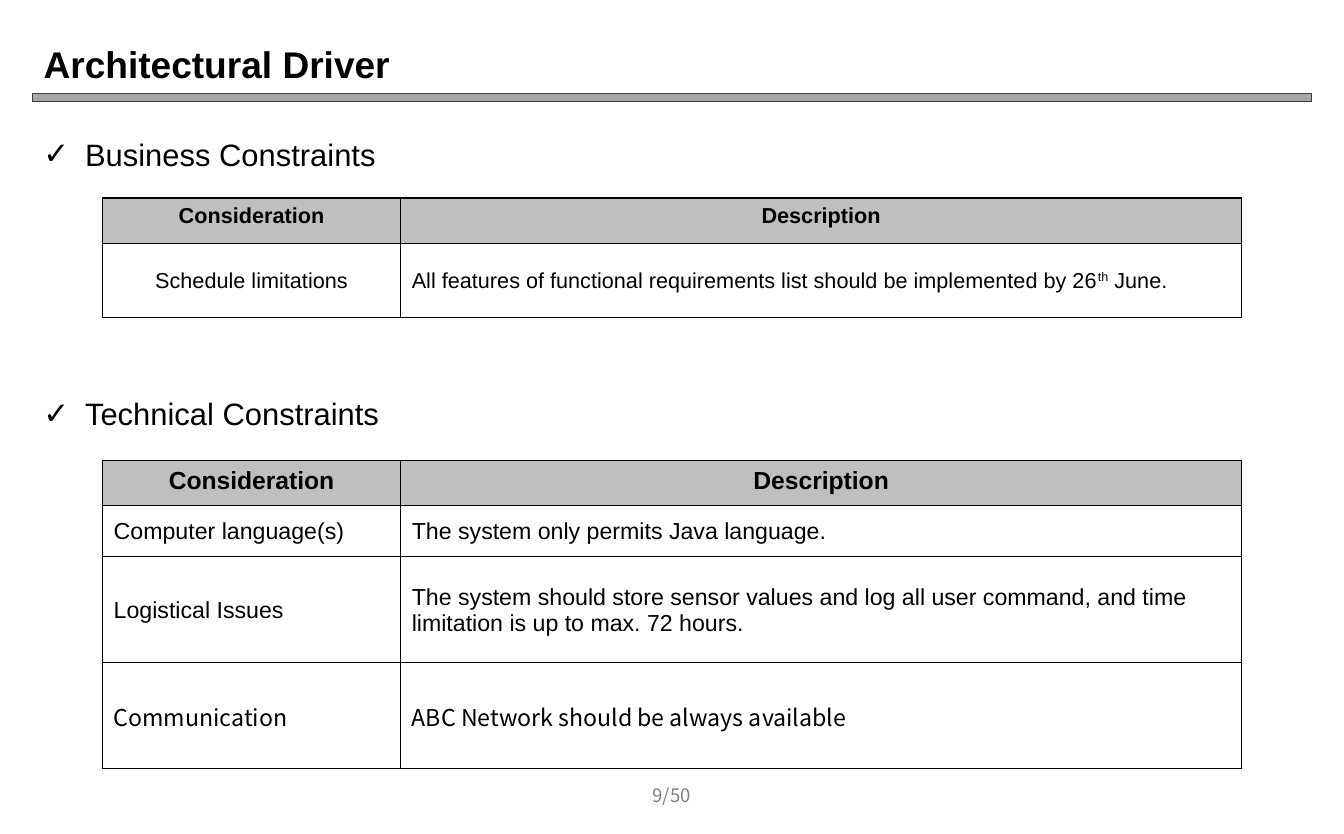
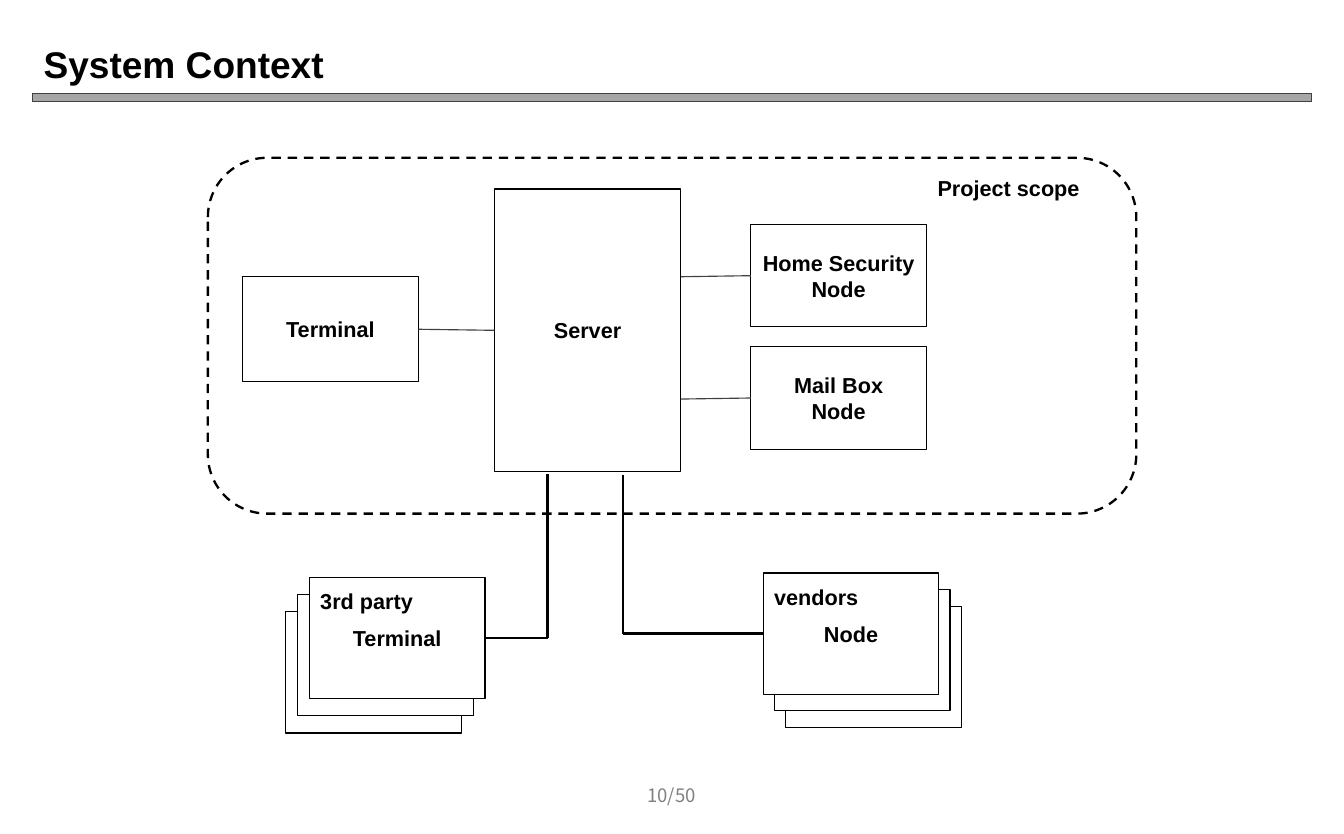
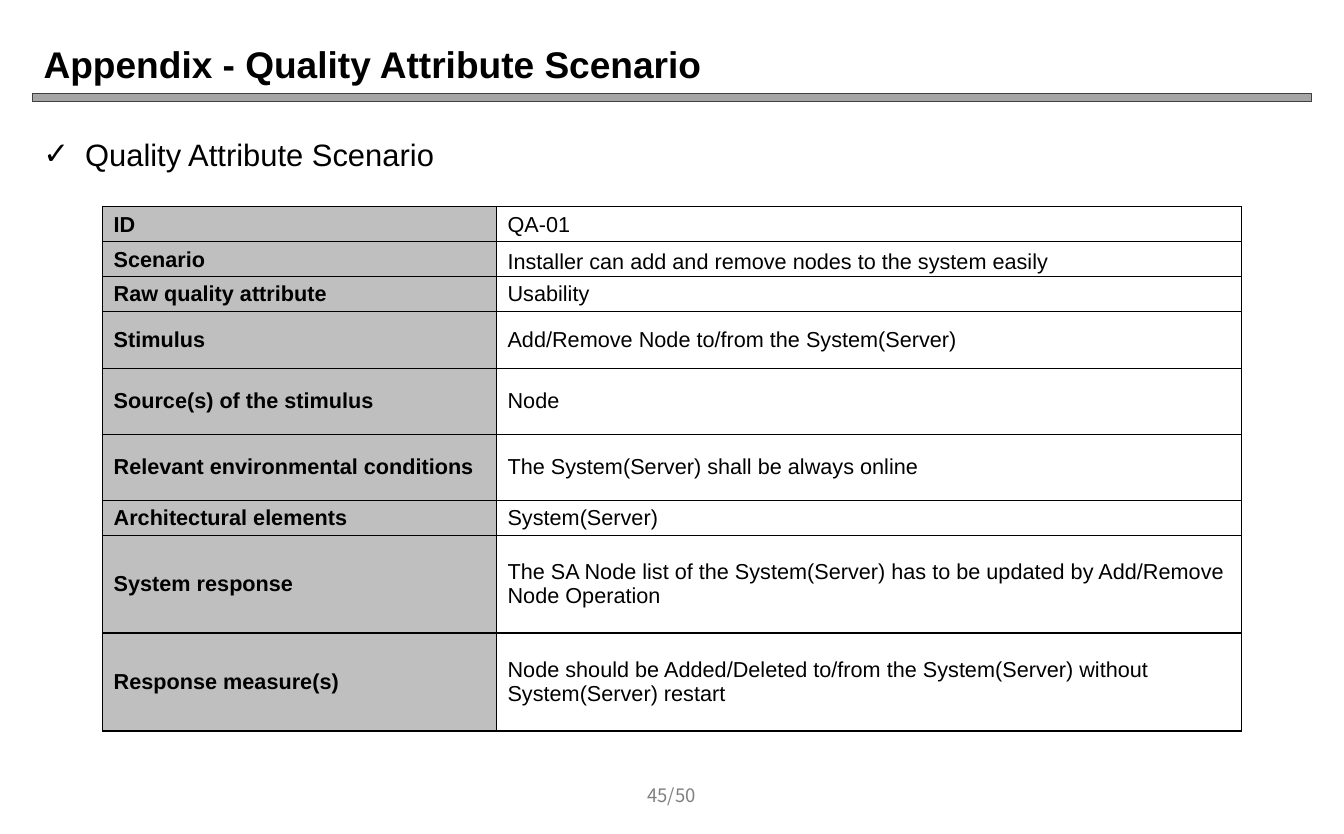
from itertools import product

from lxml.etree import SubElement
from pptx import Presentation
from pptx.dml.color import RGBColor
from pptx.enum.dml import MSO_LINE_DASH_STYLE as Dash
from pptx.enum.shapes import MSO_CONNECTOR as Connector, MSO_SHAPE as Preset
from pptx.enum.text import MSO_ANCHOR as Anchor, MSO_AUTO_SIZE as AutoSize, PP_ALIGN as Align
from pptx.oxml.ns import qn
from pptx.util import Pt

BLACK = RGBColor(0x00, 0x00, 0x00)
WHITE = RGBColor(0xFF, 0xFF, 0xFF)
DARK = RGBColor(0x40, 0x40, 0x40)
GRAY = RGBColor(0x80, 0x80, 0x80)
BAR = RGBColor(0xA6, 0xA6, 0xA6)
HEADER = RGBColor(0xBF, 0xBF, 0xBF)
LATIN, NOTO = "Arial", "Noto Sans CJK KR"

WIDTH, HEIGHT = 870, 540
LEFT, CONTENT_WIDTH = 21, 828
TABLE_LEFT = 66.4
HEADING_TOP, HEADING_STEP = 84, 168.2
PAGE_COUNT = 50

BUSINESS = [
    ("Consideration", "Description"),
    ("Schedule limitations",
     "All features of functional requirements list should be implemented by 26^th^ June."),
]
TECHNICAL = [
    ("Consideration", "Description"),
    ("Computer language(s)", "The system only permits Java language."),
    ("Logistical Issues",
     "The system should store sensor values and log all user command, "
     "and time limitation is up to max. 72 hours."),
    ("Communication", "ABC Network should be always available"),
]
SCENARIO = [
    ("ID", "QA-01"),
    ("Scenario", "Installer can add and remove nodes to the system easily"),
    ("Raw quality attribute", "Usability"),
    ("Stimulus", "Add/Remove Node to/from the System(Server)"),
    ("Source(s) of the stimulus", "Node"),
    ("Relevant environmental conditions", "The System(Server) shall be always online"),
    ("Architectural elements", "System(Server)"),
    ("System response",
     "The SA Node list of the System(Server) has to be updated by Add/Remove Node Operation"),
    ("Response measure(s)",
     "Node should be Added/Deleted to/from the System(Server) without System(Server) restart"),
]
CONSTRAINT_COLUMNS = (193, 544.4)
SCENARIO_COLUMNS = (255, 482.4)
SCENARIO_ROWS = (22.6, 22.6, 22.6, 36.9, 42.7, 42.7, 22.6, 63.4, 63.4)

NODES = ["Home Security\nNode", "Mail Box\nNode"]
NODE_LEFT, NODE_TOP, NODE_STEP = 486, 145.3, 79.2
BOX_WIDTH, NODE_HEIGHT, STACK_HEIGHT = 113.8, 66.4, 78.5
SERVER = (320, 122.4, 120.8, 183)
TERMINAL = (157, 179.3, BOX_WIDTH, 67.8)
STACKS = [
    dict(label="3rd party", text="Terminal", left=200.2, top=373.7,
         step=(-7.6, 11.2), side=3, corner=354.5, end=307),
    dict(label="vendors", text="Node", left=494, top=371,
         step=(7.2, 10.8), side=1, corner=403.3, end=307.6),
]


def write(frame, text, size=14, font=LATIN, color=BLACK, bold=False, align=Align.LEFT,
          anchor=Anchor.MIDDLE, spacing=None, bullet=None):
    frame.word_wrap = True
    frame.vertical_anchor = anchor
    for index, line in enumerate(text.split("\n")):
        para = frame.paragraphs[0] if index == 0 else frame.add_paragraph()
        para.alignment = align
        if spacing:
            para.line_spacing = spacing
        if bullet:
            properties = para._p.get_or_add_pPr()
            properties.set("marL", str(Pt(27)))
            properties.set("indent", str(-Pt(27)))
            SubElement(properties, qn("a:buFont"), typeface=font)
            SubElement(properties, qn("a:buChar"), char=bullet)
        for part, piece in enumerate(line.split("^")):
            span = para.add_run()
            span.text = piece
            span.font.size, span.font.name, span.font.bold = Pt(size), font, bold
            span.font.color.rgb = color
            if part % 2:
                span._r.get_or_add_rPr().set("baseline", "30000")


def set_insets(target, left, top, right, bottom):
    target.margin_left, target.margin_top = Pt(left), Pt(top)
    target.margin_right, target.margin_bottom = Pt(right), Pt(bottom)


def add_text(page, text, left, top, width, height, insets=(7.2, 3.6, 7.2, 3.6), **style):
    box = page.shapes.add_textbox(Pt(left), Pt(top), Pt(width), Pt(height))
    set_insets(box.text_frame, *insets)
    write(box.text_frame, text, **style)


def add_box(page, left, top, width, height, text="", preset=Preset.RECTANGLE,
            fill=WHITE, line=BLACK, weight=0.75):
    box = page.shapes.add_shape(preset, Pt(left), Pt(top), Pt(width), Pt(height))
    box.shadow.inherit = False
    if fill is None:
        box.fill.background()
    else:
        box.fill.solid()
        box.fill.fore_color.rgb = fill
    box.line.color.rgb = line
    box.line.width = Pt(weight)
    if text:
        set_insets(box.text_frame, 6.5, 6.5, 6.5, 6.5)
        write(box.text_frame, text, bold=True, align=Align.CENTER)
    return box


def add_line(page, start, end, color=BLACK, weight=1.5):
    line = page.shapes.add_connector(Connector.STRAIGHT, *map(Pt, start + end))
    line.line.color.rgb = color
    line.line.width = Pt(weight)
    SubElement(line._element.spPr, qn("a:effectLst"))
    return line


def add_borders(cell):
    properties = cell._tc.get_or_add_tcPr()
    for index, side in enumerate(("lnL", "lnR", "lnT", "lnB")):
        border = properties.makeelement(qn("a:" + side), {"w": str(Pt(1))})
        fill = SubElement(border, qn("a:solidFill"))
        SubElement(fill, qn("a:srgbClr"), val=str(BLACK))
        properties.insert(index, border)


def add_grid(page, rows, top, columns, heights, style):
    frame = page.shapes.add_table(len(rows), len(columns), Pt(TABLE_LEFT), Pt(top),
                                  Pt(sum(columns)), Pt(sum(heights)))
    table = frame.table
    table.first_row = table.horz_banding = False
    for column, width in zip(table.columns, columns):
        column.width = Pt(width)
    for row, height in zip(table.rows, heights):
        row.height = Pt(height)
    for row, column in product(range(len(rows)), range(len(columns))):
        cell = table.cell(row, column)
        look = style(row, column)
        cell.fill.solid()
        cell.fill.fore_color.rgb = look.pop("fill", WHITE)
        set_insets(cell, *look.pop("insets"))
        anchor = look.pop("anchor", Anchor.MIDDLE)
        write(cell.text_frame, rows[row][column], **look)
        cell.vertical_anchor = anchor
        add_borders(cell)


def business_style(row, column):
    look = dict(insets=(7.2, 3.6, 7.2, 3.6))
    if row == 0:
        look.update(fill=HEADER, bold=True, anchor=Anchor.TOP)
    if row == 0 or column == 0:
        look.update(align=Align.CENTER)
    return look


def technical_style(row, column):
    if row == 0:
        return dict(insets=(7.2, 0.7, 7.2, 3.6), fill=HEADER, size=16, bold=True,
                    align=Align.CENTER)
    return dict(insets=(7.2, 0.7, 7.2, 0), size=15,
                font=NOTO if row == len(TECHNICAL) - 1 else LATIN)


def scenario_style(row, column):
    look = dict(insets=(7.2, 0.7 if row < 2 else 0, 7.2, 0))
    if column == 0:
        look.update(fill=HEADER, bold=True)
    elif row == 1:
        look.update(spacing=1.15)
    return look


def add_page(deck, title, number):
    page = deck.slides.add_slide(deck.slide_layouts[5])
    add_box(page, LEFT, 60.5, CONTENT_WIDTH, 5.4, preset=Preset.FLOWCHART_PROCESS,
            fill=BAR, line=DARK)
    holder = page.shapes.title
    holder.left, holder.top, holder.width, holder.height = map(Pt, (LEFT, 21.6, CONTENT_WIDTH, 39))
    holder.text_frame.auto_size = AutoSize.NONE
    write(holder.text_frame, title, size=24, bold=True)
    add_text(page, f"{number}/{PAGE_COUNT}", 395.5, 500.4, 78.5, 28.8, size=12, font=NOTO,
             color=GRAY, align=Align.CENTER)
    return page


def add_headings(page, *headings):
    for index, heading in enumerate(headings):
        add_text(page, heading, LEFT, HEADING_TOP + index * HEADING_STEP, CONTENT_WIDTH, 32,
                 size=20, anchor=Anchor.TOP, bullet="✓")


def build_driver(deck):
    page = add_page(deck, "Architectural Driver", 9)
    add_headings(page, "Business Constraints", "Technical Constraints")
    add_grid(page, BUSINESS, 128.2, CONSTRAINT_COLUMNS, (29.6, 48), business_style)
    add_grid(page, TECHNICAL, 298.1, CONSTRAINT_COLUMNS, (29.4, 33, 68.5, 68.5), technical_style)


def add_stack(page, label, text, left, top, step, side, corner, end):
    for depth in (2, 1, 0):
        front = add_box(page, left + depth * step[0], top + depth * step[1],
                        BOX_WIDTH, STACK_HEIGHT, text if depth == 0 else "")
    add_text(page, label, left, top, 82, 34, insets=(7.2,) * 4, bold=True, anchor=Anchor.TOP)
    middle = top + STACK_HEIGHT / 2
    edge = left + (BOX_WIDTH if side == 3 else 0)
    add_line(page, (edge, middle), (corner, middle)).begin_connect(front, side)
    add_line(page, (corner, middle), (corner, end))


def build_context(deck):
    page = add_page(deck, "System Context", 10)
    scope = add_box(page, 134.6, 102.2, 601, 230.4, preset=Preset.ROUNDED_RECTANGLE,
                    fill=None, weight=1.5)
    scope.line.dash_style = Dash.DASH
    add_text(page, "Project scope", 599.8, 105.8, 113.8, 37.4, insets=(7.2,) * 4,
             bold=True, anchor=Anchor.TOP)
    server = add_box(page, *SERVER, "Server")
    terminal = add_box(page, *TERMINAL, "Terminal")
    link = add_line(page, (0, 0), (0, 0), DARK, 0.75)
    link.begin_connect(terminal, 3)
    link.end_connect(server, 1)
    for index, text in enumerate(NODES):
        top = NODE_TOP + index * NODE_STEP
        middle = top + NODE_HEIGHT / 2
        node = add_box(page, NODE_LEFT, top, BOX_WIDTH, NODE_HEIGHT, text)
        add_line(page, (NODE_LEFT, middle), (SERVER[0] + SERVER[2], middle + 0.7),
                 DARK, 0.75).begin_connect(node, 1)
    for stack in STACKS:
        add_stack(page, **stack)


def build_scenario(deck):
    page = add_page(deck, "Appendix - Quality Attribute Scenario", 45)
    add_headings(page, "Quality Attribute Scenario")
    add_grid(page, SCENARIO, 133.9, SCENARIO_COLUMNS, SCENARIO_ROWS, scenario_style)


def main():
    deck = Presentation()
    deck.slide_width, deck.slide_height = Pt(WIDTH), Pt(HEIGHT)
    for build in (build_driver, build_context, build_scenario):
        build(deck)
    deck.save("out.pptx")


if __name__ == "__main__":
    main()
